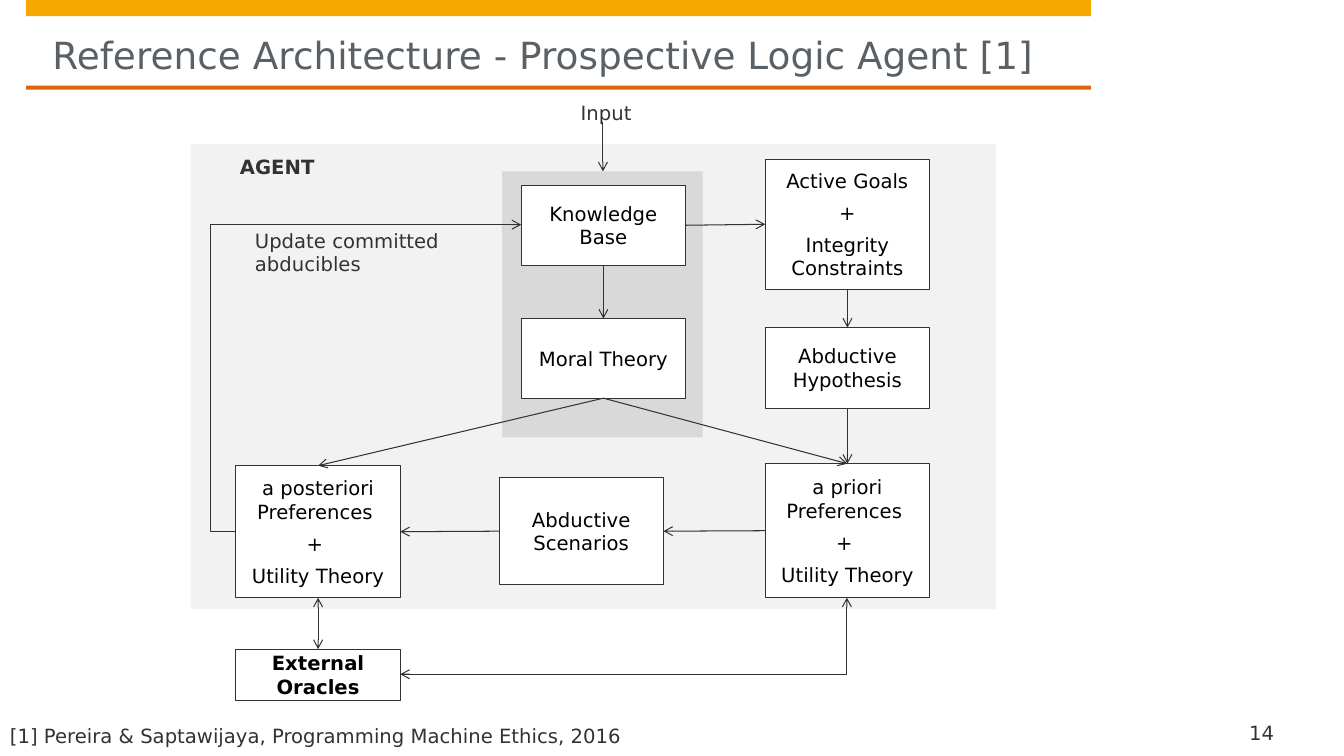
from lxml import etree
from pptx import Presentation
from pptx.dml.color import RGBColor
from pptx.enum.shapes import MSO_CONNECTOR, MSO_SHAPE
from pptx.enum.text import MSO_ANCHOR, PP_ALIGN
from pptx.oxml.ns import qn
from pptx.util import Pt

PX = 9144  # 100 px to the inch
FONT = "DejaVu Sans"
AMBER = RGBColor(0xF6, 0xA8, 0x00)
ORANGE = RGBColor(0xDD, 0x64, 0x0C)
SLATE = RGBColor(0x5A, 0x61, 0x66)
INK = RGBColor(0x32, 0x32, 0x32)
BLACK = RGBColor(0, 0, 0)
WHITE = RGBColor(0xFF, 0xFF, 0xFF)
PALE = RGBColor(0xF2, 0xF2, 0xF2)
GREY = RGBColor(0xD9, 0xD9, 0xD9)
RECT = MSO_SHAPE.RECTANGLE
STRAIGHT, ELBOW = MSO_CONNECTOR.STRAIGHT, MSO_CONNECTOR.ELBOW
TOP, MIDDLE, BOTTOM = MSO_ANCHOR.TOP, MSO_ANCHOR.MIDDLE, MSO_ANCHOR.BOTTOM
LEFT, CENTER = PP_ALIGN.LEFT, PP_ALIGN.CENTER
N, W, S, E = range(4)  # connection sites of a rectangle


def write(sp, lines, color, insets, anchor=TOP, align=LEFT, size=14,
          bold=False, wrap=True, gap=0):
    tf = sp.text_frame
    tf.text = "\n".join(lines)
    tf.word_wrap = wrap
    tf.vertical_anchor = anchor
    tf.margin_left, tf.margin_top, tf.margin_right, tf.margin_bottom = (
        v * PX for v in insets)
    for p in tf.paragraphs:
        p.alignment = align
        p.space_before = p.space_after = Pt(gap)
        for r in p.runs:
            r.font.name, r.font.size, r.font.bold = FONT, Pt(size), bold
            r.font.color.rgb = color


def add_arrow(kind, start, end, heads=("tailEnd",)):
    cn = shapes.add_connector(kind, *(v * PX for v in start + end))
    cn.line.color.rgb = INK
    cn.line.width = Pt(0.75)
    ln = cn.line._get_or_add_ln()
    for head in heads:
        etree.SubElement(ln, qn("a:" + head), type="arrow")
    etree.SubElement(cn._element.spPr, qn("a:effectLst"))
    return cn


prs = Presentation()
prs.slide_width, prs.slide_height = 1333 * PX, 750 * PX
slide = prs.slides.add_slide(prs.slide_layouts[5])
shapes = slide.shapes

# Title
title = shapes.title
title.left, title.top, title.width, title.height = (
    v * PX for v in (52, 16, 1003, 61))
write(title, ["Reference Architecture - Prospective Logic Agent [1]"], SLATE,
      (0, 16, 0, 0), size=26.7)

# Header bars, agent area and knowledge area
for x, y, w, h, color in [
    (26, 0, 1056, 16, AMBER),
    (26, 85, 1056, 4, ORANGE),
    (189, 143, 799, 461, PALE),
    (498, 170, 199, 264, GREY),
]:
    sp = shapes.add_shape(RECT, x * PX, y * PX, w * PX, h * PX)
    sp.shadow.inherit = False
    sp.fill.solid()
    sp.fill.fore_color.rgb = color
    sp.line.fill.background()

# Component boxes, all of one width
BOX_W = 163
boxes = {}
for name, x, y, h, lines in [
    ("knowledge", 517, 184, 79, ["Knowledge Base"]),
    ("moral", 517, 316, 79, ["Moral Theory"]),
    ("goals", 759, 158, 129, ["Active Goals", "+", "Integrity Constraints"]),
    ("hypothesis", 759, 325, 80, ["Abductive Hypothesis"]),
    ("priori", 759, 460, 133,
     ["a priori Preferences ", "+ ", "Utility Theory"]),
    ("scenarios", 495, 474, 106, ["Abductive Scenarios"]),
    ("posteriori", 234, 462, 131,
     ["a posteriori Preferences ", "+ ", "Utility Theory"]),
    ("oracles", 234, 644, 51, ["External Oracles"]),
]:
    sp = shapes.add_shape(RECT, x * PX, y * PX, BOX_W * PX, h * PX)
    sp.shadow.inherit = False
    sp.fill.solid()
    sp.fill.fore_color.rgb = WHITE
    sp.line.color.rgb = INK
    sp.line.width = Pt(0.75)
    write(sp, lines, BLACK, (12, 8, 12, 8), MIDDLE, CENTER,
          bold=name == "oracles", gap=3)
    boxes[name] = sp

# Straight arrows
add_arrow(STRAIGHT, (598, 121), (598, 170))
for source, out, target, into in [
    ("knowledge", E, "goals", W),
    ("goals", S, "hypothesis", N),
    ("hypothesis", S, "priori", N),
    ("priori", W, "scenarios", E),
    ("scenarios", W, "posteriori", E),
    ("knowledge", S, "moral", N),
    ("moral", S, "priori", N),
    ("moral", S, "posteriori", N),
    ("oracles", N, "posteriori", S),
]:
    heads = ("headEnd", "tailEnd") if source == "oracles" else ("tailEnd",)
    cn = add_arrow(STRAIGHT, (0, 0), (0, 0), heads)
    cn.begin_connect(boxes[source], out)
    cn.end_connect(boxes[target], into)

# Bent arrows: update loop on the left, oracle link at the bottom
loop = add_arrow(ELBOW, (234, 527), (517, 223))
guides = loop._element.spPr.find(qn("a:prstGeom")).get_or_add_avLst()
etree.SubElement(guides, qn("a:gd"), name="adj1", fmla="val -8800")
link = add_arrow(ELBOW, (397, 669), (840, 593), ("headEnd", "tailEnd"))
link._element.spPr.find(qn("a:prstGeom")).set("prst", "bentConnector2")

# Labels, footnote and page number
NONE, USUAL = (0, 0, 0, 0), (10, 5, 10, 5)
for x, y, w, h, text, insets, anchor, bold, wrap, gap in [
    (576, 100, 70, 27, "Input", NONE, TOP, False, False, 3),
    (238, 154, 100, 33, "AGENT", NONE, TOP, True, False, 3),
    (243, 222, 235, 57, "Update committed abducibles", USUAL, TOP, False,
     True, 0),
    (0, 713, 667, 34,
     "[1] Pereira & Saptawijaya, Programming Machine Ethics, 2016", USUAL,
     TOP, False, True, 0),
    (1227, 714, 80, 25, "14", (12, 0, 0, 0), BOTTOM, False, True, 0),
]:
    sp = shapes.add_textbox(x * PX, y * PX, w * PX, h * PX)
    write(sp, [text], INK, insets, anchor, bold=bold, wrap=wrap, gap=gap)

prs.save("out.pptx")
